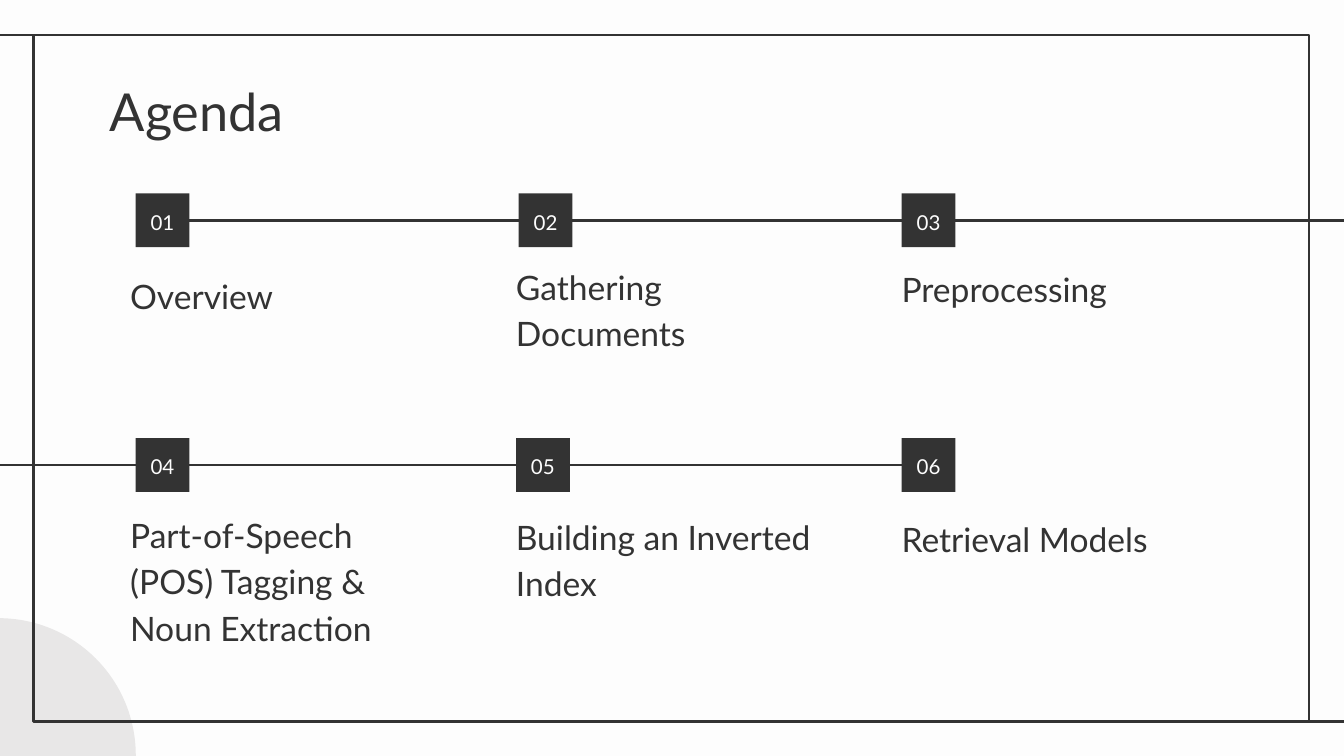
"""Build an agenda slide with six numbered topics on two rails."""
from dataclasses import dataclass

from lxml.etree import SubElement
from pptx import Presentation
from pptx.dml.color import RGBColor
from pptx.enum.shapes import MSO_CONNECTOR, MSO_SHAPE
from pptx.enum.text import MSO_ANCHOR, PP_ALIGN
from pptx.oxml.ns import qn
from pptx.shapes.autoshape import Shape
from pptx.shapes.connector import Connector
from pptx.slide import Slide
from pptx.util import Inches, Pt

INK = RGBColor(0x33, 0x33, 0x33)
PAPER = RGBColor(0xFD, 0xFD, 0xFD)
MIST = RGBColor(0xE8, 0xE7, 0xE7)
FONT = "Lato"
WIDTH = 10
HEIGHT = WIDTH * 9 / 16
RAIL_ROWS = (1.64, 3.46)
MARKER_LEFT, MARKER_PITCH, MARKER_SIZE = 1.01, 2.85, 0.4
CAPTION_LEFT, CAPTION_PITCH, CAPTION_WIDTH = 0.87, 2.87, 2.52
FRAME_LEFT, FRAME_TOP, FRAME_RIGHT, FRAME_BOTTOM = 0.25, 0.26, 9.74, 5.37


@dataclass(frozen=True)
class Topic:
    """One agenda entry, with its caption's bottom measured from the rail."""

    caption: str
    column: int
    row: int
    drop: float
    height: float = 0.42
    nudge: float = 0


@dataclass(frozen=True)
class TextStyle:
    """Look of one kind of text."""

    size: int
    color: RGBColor = INK
    anchor: MSO_ANCHOR = MSO_ANCHOR.TOP
    align: PP_ALIGN = PP_ALIGN.LEFT
    spacing: float = 1.0


TITLE = TextStyle(28)
NUMBER = TextStyle(11, PAPER, MSO_ANCHOR.MIDDLE, PP_ALIGN.CENTER, 1.15)
CAPTION = TextStyle(18, INK, MSO_ANCHOR.BOTTOM, PP_ALIGN.LEFT, 1.15)

TOPICS = (
    Topic("Overview", 0, 0, 0.81),
    Topic("Gathering Documents", 1, 0, 1.09),
    Topic("Preprocessing", 2, 0, 0.76),
    Topic("Part-of-Speech (POS) Tagging & Noun Extraction", 0, 1, 1.46, 0.75),
    Topic("Building an Inverted Index", 1, 1, 1.13, nudge=-0.02),
    Topic("Retrieval Models", 2, 1, 0.8),
)


def assign(target: object, values: dict) -> None:
    """Set each named attribute of the target."""
    for name, value in values.items():
        setattr(target, name, value)


def write(shape: Shape, text: str, style: TextStyle) -> None:
    """Fill a shape with one styled paragraph."""
    frame = shape.text_frame
    margins = {f"margin_{side}": Inches(0.1) for side in ("left", "top", "right", "bottom")}
    assign(frame, {"word_wrap": True, "vertical_anchor": style.anchor, **margins})
    paragraph = frame.paragraphs[0]
    assign(paragraph, {"alignment": style.align, "line_spacing": style.spacing})
    run = paragraph.add_run()
    run.text = text
    assign(run.font, {"name": FONT, "size": Pt(style.size)})
    run.font.color.rgb = style.color


def add_text(slide: Slide, box: tuple[float, ...], text: str, style: TextStyle) -> None:
    """Place a text box."""
    write(slide.shapes.add_textbox(*map(Inches, box)), text, style)


def add_block(slide: Slide, preset: MSO_SHAPE, box: tuple[float, ...], fill: RGBColor) -> Shape:
    """Place a filled shape without outline."""
    block = slide.shapes.add_shape(preset, *map(Inches, box))
    block.shadow.inherit = False
    block.fill.solid()
    block.fill.fore_color.rgb = fill
    block.line.fill.background()
    return block


def add_rule(slide: Slide, start: float, end: float, y: float) -> Connector:
    """Draw a horizontal rule."""
    ends = map(Inches, (start, y, end, y))
    rule = slide.shapes.add_connector(MSO_CONNECTOR.STRAIGHT, *ends)
    rule.line.color.rgb = INK
    rule.line.width = Pt(1.5)
    SubElement(rule._element.spPr, qn("a:effectLst"))
    return rule


def add_frame(slide: Slide) -> None:
    """Draw the border and the two rules that leave the slide."""
    box = (FRAME_LEFT, FRAME_TOP, FRAME_RIGHT - FRAME_LEFT, FRAME_BOTTOM - FRAME_TOP)
    border = add_block(slide, MSO_SHAPE.RECTANGLE, box, PAPER)
    border.fill.background()
    border.line.color.rgb = INK
    border.line.width = Pt(1.5)
    add_rule(slide, FRAME_LEFT, -0.02, FRAME_TOP)
    add_rule(slide, WIDTH + 0.03, FRAME_RIGHT, FRAME_BOTTOM)


def add_marker(slide: Slide, number: int, topic: Topic) -> Shape:
    """Place a numbered square centred on its rail."""
    left = MARKER_LEFT + topic.column * MARKER_PITCH + topic.nudge
    top = RAIL_ROWS[topic.row] - MARKER_SIZE / 2
    marker = add_block(slide, MSO_SHAPE.RECTANGLE, (left, top, MARKER_SIZE, MARKER_SIZE), INK)
    write(marker, f"{number:02}", NUMBER)
    return marker


def add_caption(slide: Slide, topic: Topic) -> None:
    """Write a topic's name below its marker."""
    left = CAPTION_LEFT + topic.column * CAPTION_PITCH
    top = RAIL_ROWS[topic.row] + topic.drop - topic.height
    add_text(slide, (left, top, CAPTION_WIDTH, topic.height), topic.caption, CAPTION)


def main() -> None:
    """Build and save the slide."""
    deck = Presentation()
    assign(deck, {"slide_width": Inches(WIDTH), "slide_height": Inches(HEIGHT)})
    slide = deck.slides.add_slide(deck.slide_layouts[6])
    slide.background.fill.solid()
    slide.background.fill.fore_color.rgb = PAPER

    add_block(slide, MSO_SHAPE.OVAL, (-1.03, 4.6, 2.04, 2.04), MIST)
    add_frame(slide)
    add_text(slide, (0.72, 0.49, 8.43, 0.63), "Agenda", TITLE)

    markers = [add_marker(slide, number, topic) for number, topic in enumerate(TOPICS, 1)]
    rails = ((markers[0], 3, WIDTH + 0.17), (markers[-1], 1, -0.18))
    for (marker, side, end), y in zip(rails, RAIL_ROWS):
        rail = add_rule(slide, MARKER_LEFT, end, y)
        rail.begin_connect(marker, side)
        markers[0]._element.addprevious(rail._element)

    for topic in TOPICS:
        add_caption(slide, topic)
    deck.save("out.pptx")


if __name__ == "__main__":
    main()
